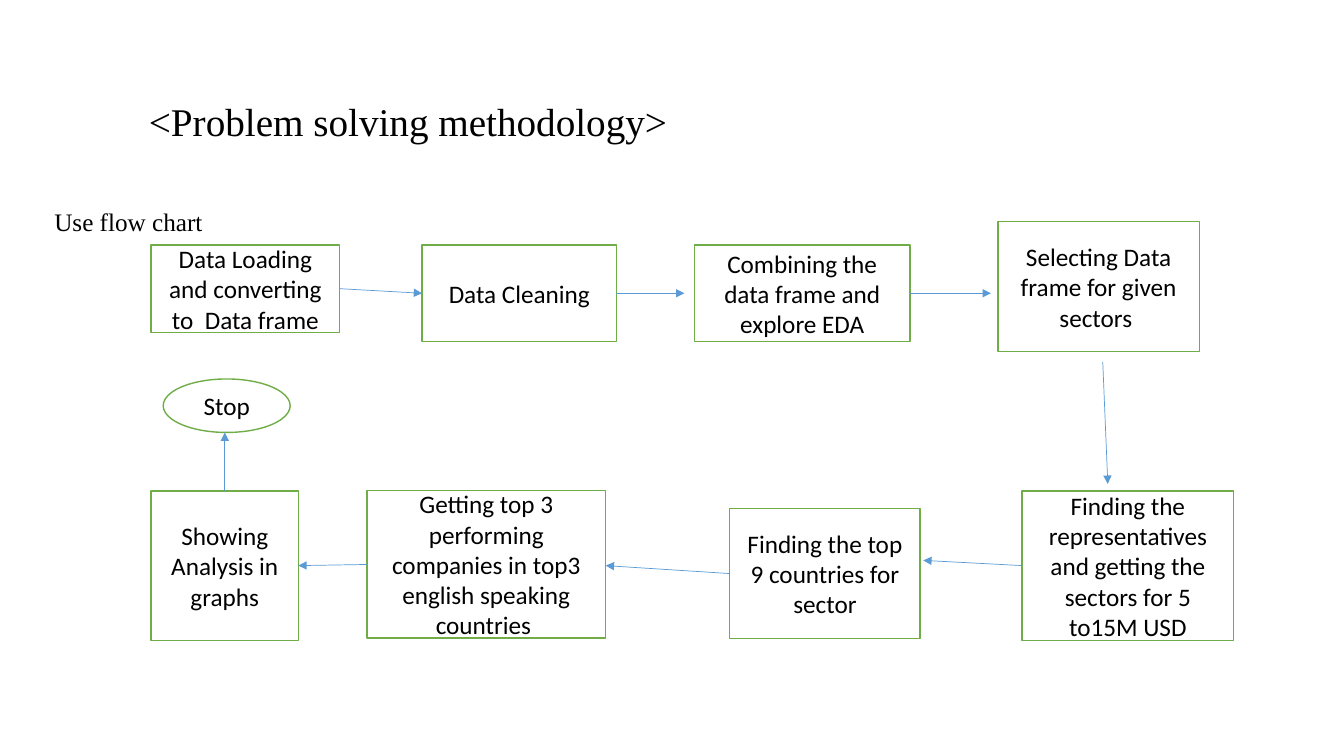
from lxml.etree import SubElement
from pptx import Presentation
from pptx.dml.color import RGBColor
from pptx.enum.shapes import MSO_CONNECTOR, MSO_SHAPE
from pptx.enum.text import MSO_ANCHOR, PP_ALIGN
from pptx.oxml.ns import qn
from pptx.util import Pt

BLACK = RGBColor(0x00, 0x00, 0x00)
WHITE = RGBColor(0xFF, 0xFF, 0xFF)
GREEN = RGBColor(0x70, 0xAD, 0x47)
BLUE = RGBColor(0x5B, 0x9B, 0xD5)
SERIF = "Times New Roman"
SANS = "Calibri"


def add_run(p, text, **fmt):
    """Add a black run to a paragraph with the given font settings."""
    r = p.add_run()
    r.text = text
    r.font.color.rgb = BLACK
    for name, value in fmt.items():
        setattr(r.font, name, value)


def add_text(s, box, anchor, space_before):
    """Add a wrapping text box and return its first paragraph."""
    tf = s.shapes.add_textbox(*map(Pt, box)).text_frame
    tf.word_wrap = True
    tf.vertical_anchor = anchor
    p = tf.paragraphs[0]
    p.line_spacing = 0.9
    p.space_before = Pt(space_before)
    return p


prs = Presentation()
prs.slide_width, prs.slide_height = Pt(960), Pt(540)
s = prs.slides.add_slide(prs.slide_layouts[6])

# Heading and instruction
p = add_text(s, (31.7, 146.2, 879, 342), MSO_ANCHOR.TOP, 10)
add_run(p, "Use flow chart", name=SERIF, size=Pt(18))
p = add_text(s, (89.3, 50.4, 733.7, 67.7), MSO_ANCHOR.MIDDLE, 0)
add_run(p, " ", name=SERIF, size=Pt(40), bold=True)
add_run(p, "<Problem solving methodology>", name=SERIF, size=Pt(28), bold=False)

# Flow steps: shape, left, top, width, height, text
RECT, OVAL = MSO_SHAPE.RECTANGLE, MSO_SHAPE.OVAL
steps = [
    (RECT, 108, 175, 134.6, 62.6, "Data Loading and converting to  Data frame"),
    (RECT, 301.5, 175, 139, 69.1, "Data Cleaning"),
    (RECT, 496, 175, 154.1, 69.1, "Combining the data frame and explore EDA"),
    (RECT, 712.8, 158.4, 144, 92.9, "Selecting Data frame for given sectors "),
    (RECT, 730.1, 350.6, 151.2, 107,
     "Finding the representatives and getting the sectors for 5 to15M USD"),
    (RECT, 521.3, 363, 136, 92.9, "Finding the top 9 countries for sector"),
    (RECT, 262.1, 350.6, 170.6, 105.1,
     "Getting top 3 performing companies in top3 english speaking countries "),
    (RECT, 108, 350.6, 105.1, 107, "Showing Analysis in graphs"),
    (OVAL, 116.6, 270.7, 90.7, 38.2, "Stop"),
]
for kind, left, top, width, height, text in steps:
    sp = s.shapes.add_shape(kind, Pt(left), Pt(top), Pt(width), Pt(height))
    sp.shadow.inherit = False
    sp.fill.solid()
    sp.fill.fore_color.rgb = WHITE
    sp.line.color.rgb = GREEN
    sp.line.width = Pt(1)
    tf = sp.text_frame
    tf.word_wrap = True
    tf.vertical_anchor = MSO_ANCHOR.MIDDLE
    p = tf.paragraphs[0]
    p.alignment = PP_ALIGN.CENTER
    add_run(p, text, name=SANS, size=Pt(18))

# Arrows between steps: start x, y, end x, y
arrows = [
    (242.6, 206.2, 301.5, 209.5),
    (440.3, 209.5, 488.9, 209.5),
    (650.2, 209.5, 707.8, 209.5),
    (787.7, 258.5, 791.3, 345.6),
    (730.1, 404, 659.5, 400.3),
    (521.3, 409.7, 432.7, 404),
    (262.1, 403.2, 213.1, 404),
    (160.6, 350.6, 160.6, 308.9),
]
for ends in arrows:
    cn = s.shapes.add_connector(MSO_CONNECTOR.STRAIGHT, *map(Pt, ends))
    cn.line.color.rgb = BLUE
    cn.line.width = Pt(0.5)
    SubElement(cn.line._get_or_add_ln(), qn("a:tailEnd"), type="triangle")
    SubElement(cn._element.spPr, qn("a:effectLst"))

prs.save("out.pptx")
